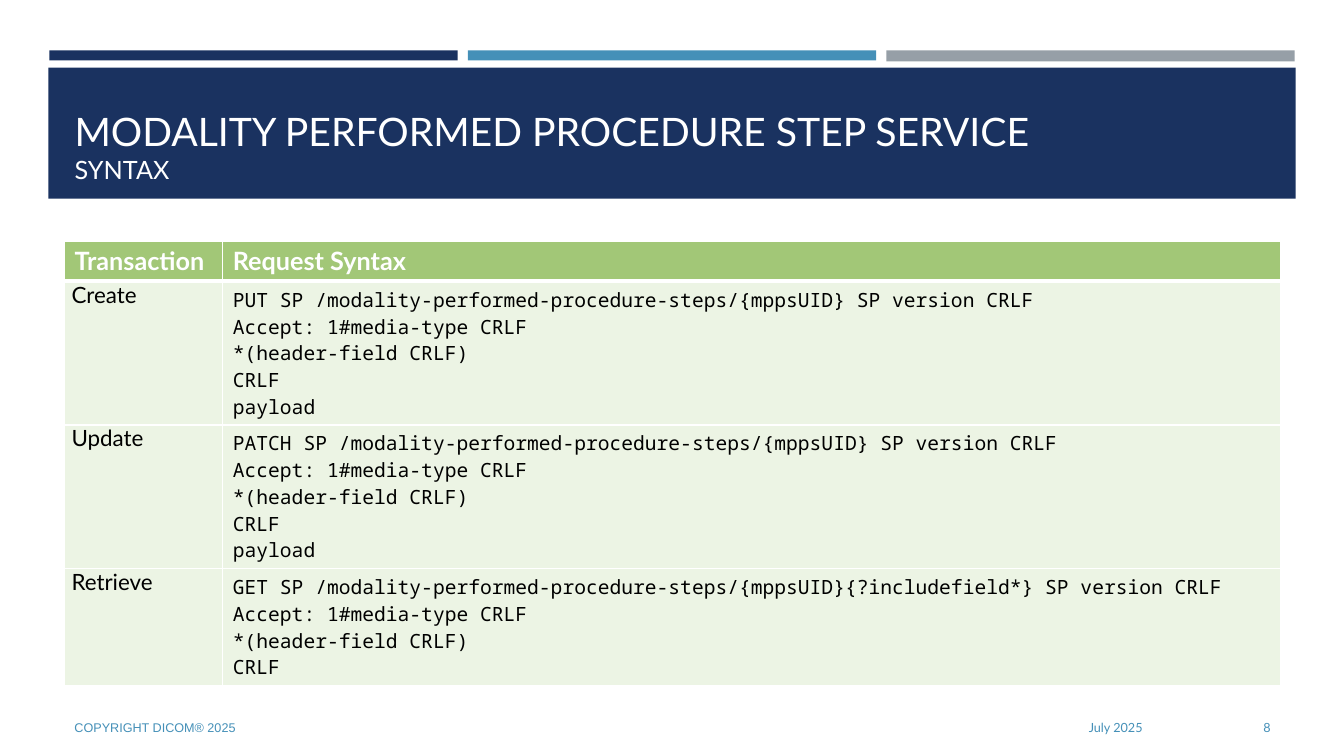
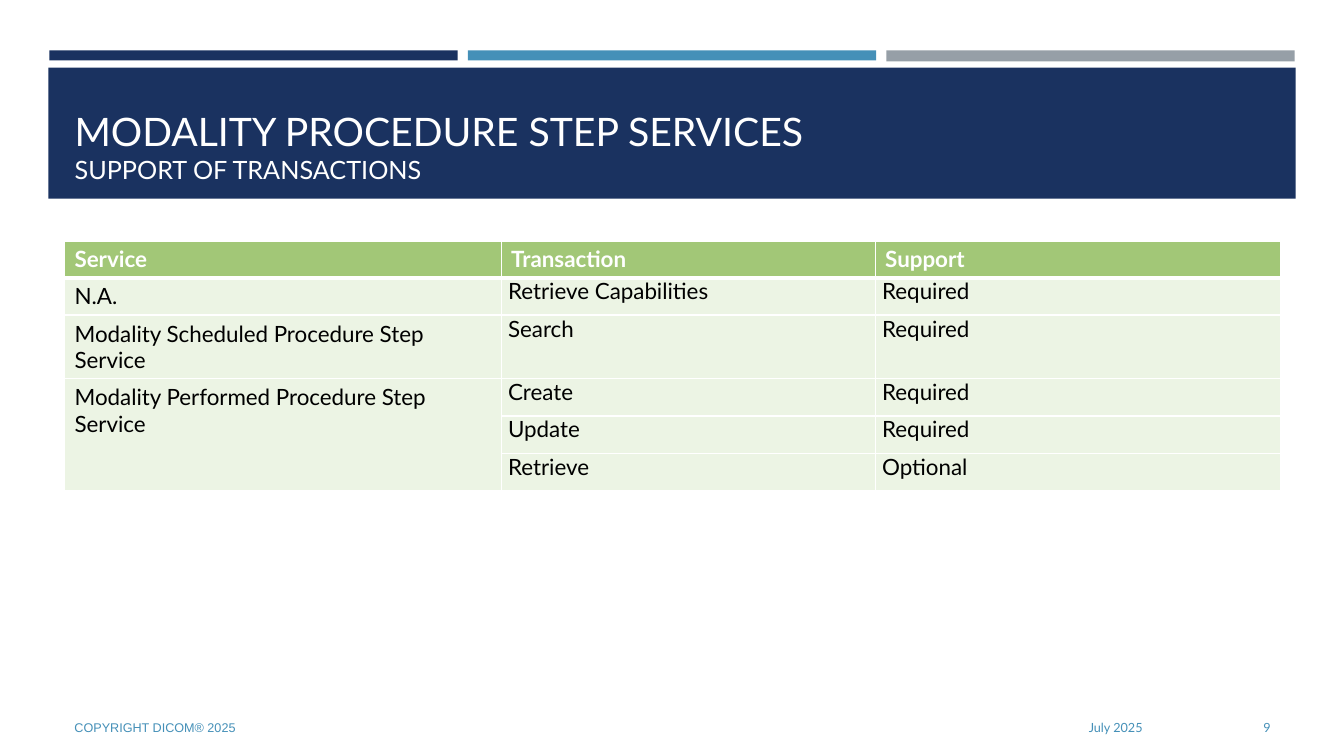
"""Builds two slides on modality procedure step services."""
from lxml import etree
from pptx import Presentation
from pptx import util as u
from pptx.dml.color import RGBColor
from pptx.enum import shapes, text
from pptx.oxml.ns import qn

PX = 9144
NAVY = RGBColor(0x1A, 0x32, 0x60)
BLUE = RGBColor(0x45, 0x90, 0xB8)
GRAY = RGBColor(0x96, 0x9F, 0xA7)
GREEN = RGBColor(0xA2, 0xC7, 0x77)
PALE = RGBColor(0xEC, 0xF4, 0xE4)
WHITE = RGBColor(0xFF, 0xFF, 0xFF)
BLACK = RGBColor(0, 0, 0)
SANS, MONO, FOOT = "Lato", "Noto Sans Mono", "Arial"
LEFT, WIDTH = 64, 1206
STRIPE_LEFT, STRIPE_STEP, STRIPE_WIDTH = 49, 415, 405
LABEL = dict(size=16, tight=True)
PLAIN = dict(size=16)
CODE = dict(size=14, font=MONO)

HEADERS = ["Accept: 1#media-type CRLF", "*(header-field CRLF)", "CRLF"]
STEPS_URI = "/modality-performed-procedure-steps/{mppsUID}"

SLIDES = [
    dict(
        title="MODALITY PERFORMED PROCEDURE STEP SERVICE",
        subtitle="SYNTAX",
        number="8",
        header_size=18,
        columns=[157, 1049],
        heights=[40, 142, 142, 116],
        styles=[LABEL, CODE],
        rows=[
            ["Transaction", "Request Syntax"],
            ["Create", [f"PUT SP {STEPS_URI} SP version CRLF", *HEADERS, "payload"]],
            ["Update", [f"PATCH SP {STEPS_URI} SP version CRLF", *HEADERS, "payload"]],
            ["Retrieve", [f"GET SP {STEPS_URI}{{?includefield*}} SP version CRLF", *HEADERS]],
        ],
        merges=[],
    ),
    dict(
        title="MODALITY PROCEDURE STEP SERVICES",
        subtitle="SUPPORT OF TRANSACTIONS",
        number="9",
        header_size=16,
        columns=[433, 371, 402],
        heights=[35, 37, 63, 37, 37, 37],
        styles=[PLAIN, LABEL, LABEL],
        rows=[
            ["Service", "Transaction", "Support"],
            ["N.A.", "Retrieve Capabilities", "Required"],
            ["Modality Scheduled Procedure Step Service", "Search", "Required"],
            ["Modality Performed Procedure Step Service", "Create", "Required"],
            ["", "Update", "Required"],
            ["", "Retrieve", "Optional"],
        ],
        merges=[((3, 0), (5, 0))],
    ),
]


def box(*lengths):
    return [u.Emu(length * PX) for length in lengths]


def add_run(paragraph, words, size, color, font=SANS, bold=False):
    run = paragraph.add_run()
    run.text = words
    run.font.size, run.font.name, run.font.bold = u.Pt(size), font, bold
    run.font.color.rgb = color


def add_bands(slide, layout):
    """Draw the bands once and hand them to the shared layout."""
    bands = [(STRIPE_LEFT + i * STRIPE_STEP, 50, STRIPE_WIDTH, height, color)
             for i, (color, height) in enumerate([(NAVY, 10), (BLUE, 10), (GRAY, 11)])]
    bands.append((48, 67, 1237, 130, NAVY))
    for position, (*place, color) in enumerate(bands, 2):
        band = slide.shapes.add_shape(shapes.MSO_SHAPE.RECTANGLE, *box(*place))
        band.shadow.inherit = False
        band.fill.solid()
        band.fill.fore_color.rgb = color
        band.line.fill.background()
        layout.shapes._spTree.insert(position, band._element)


def set_title(slide, title, subtitle):
    heading = slide.shapes.title
    heading.left, heading.top, heading.width, heading.height = box(LEFT, 77, WIDTH, 111)
    frame = heading.text_frame
    frame.word_wrap = True
    frame.auto_size = text.MSO_AUTO_SIZE.NONE
    frame.vertical_anchor = text.MSO_ANCHOR.BOTTOM
    paragraph = frame.paragraphs[0]
    paragraph.alignment = text.PP_ALIGN.LEFT
    add_run(paragraph, title, 28, WHITE)
    paragraph.add_line_break()
    etree.SubElement(paragraph._p[-1], qn("a:rPr"), sz="2800")
    add_run(paragraph, subtitle, 18, WHITE)


def set_borders(cell, top, bottom):
    properties = cell._tc.get_or_add_tcPr()
    for side, points in (("L", 1), ("R", 1), ("T", top), ("B", bottom)):
        line = etree.SubElement(properties, qn(f"a:ln{side}"), w=str(u.Pt(points)))
        fill = etree.SubElement(line, qn("a:solidFill"))
        etree.SubElement(fill, qn("a:srgbClr"), val=str(WHITE))


def fill_cell(cell, words, color, size, font=SANS, tight=False, bold=False):
    if tight:
        cell.margin_left = cell.margin_right = 7 * PX
        cell.margin_top = cell.margin_bottom = 0
    lines = words if isinstance(words, list) else [words]
    for i, line in enumerate(lines):
        frame = cell.text_frame
        paragraph = frame.add_paragraph() if i else frame.paragraphs[0]
        if tight:
            paragraph.space_before = paragraph.space_after = u.Pt(2)
        add_run(paragraph, line, size, color, font, bold)


def add_grid(slide, content):
    rows, columns, heights = content["rows"], content["columns"], content["heights"]
    grid = slide.shapes.add_table(
        len(rows), len(columns), *box(LEFT, 239, WIDTH, sum(heights))).table
    for column, width in zip(grid.columns, columns):
        column.width = u.Emu(width * PX)
    for row, height in zip(grid.rows, heights):
        row.height = u.Emu(height * PX)
    for r, row in enumerate(rows):
        for c, words in enumerate(row):
            cell = grid.cell(r, c)
            set_borders(cell, 3 if r == 1 else 1, 3 if r == 0 else 1)
            cell.fill.solid()
            cell.fill.fore_color.rgb = PALE if r else GREEN
            if r == 0:
                fill_cell(cell, words, WHITE, content["header_size"], bold=True)
            elif words:
                fill_cell(cell, words, BLACK, **content["styles"][c])
    for first, last in content["merges"]:
        grid.cell(*first).merge(grid.cell(*last))


def add_footer(slide, number):
    right = text.PP_ALIGN.RIGHT
    for words, left, width, align, font in (
            ("July 2025", 832, 311, right, SANS),
            ("COPYRIGHT DICOM® 2025", LEFT, 756, text.PP_ALIGN.LEFT, FOOT),
            (number, 1155, 115, right, SANS)):
        frame = slide.shapes.add_textbox(*box(left, 702, width, 40)).text_frame
        frame.word_wrap = True
        frame.vertical_anchor = text.MSO_ANCHOR.MIDDLE
        frame.paragraphs[0].alignment = align
        add_run(frame.paragraphs[0], words, 9, BLUE, font)


def main():
    deck = Presentation()
    deck.slide_width, deck.slide_height = u.Inches(13.33), u.Inches(7.5)
    layout = deck.slide_layouts[5]
    for i, content in enumerate(SLIDES):
        slide = deck.slides.add_slide(layout)
        if i == 0:
            add_bands(slide, layout)
        set_title(slide, content["title"], content["subtitle"])
        add_grid(slide, content)
        add_footer(slide, content["number"])
    deck.save("out.pptx")


if __name__ == "__main__":
    main()
